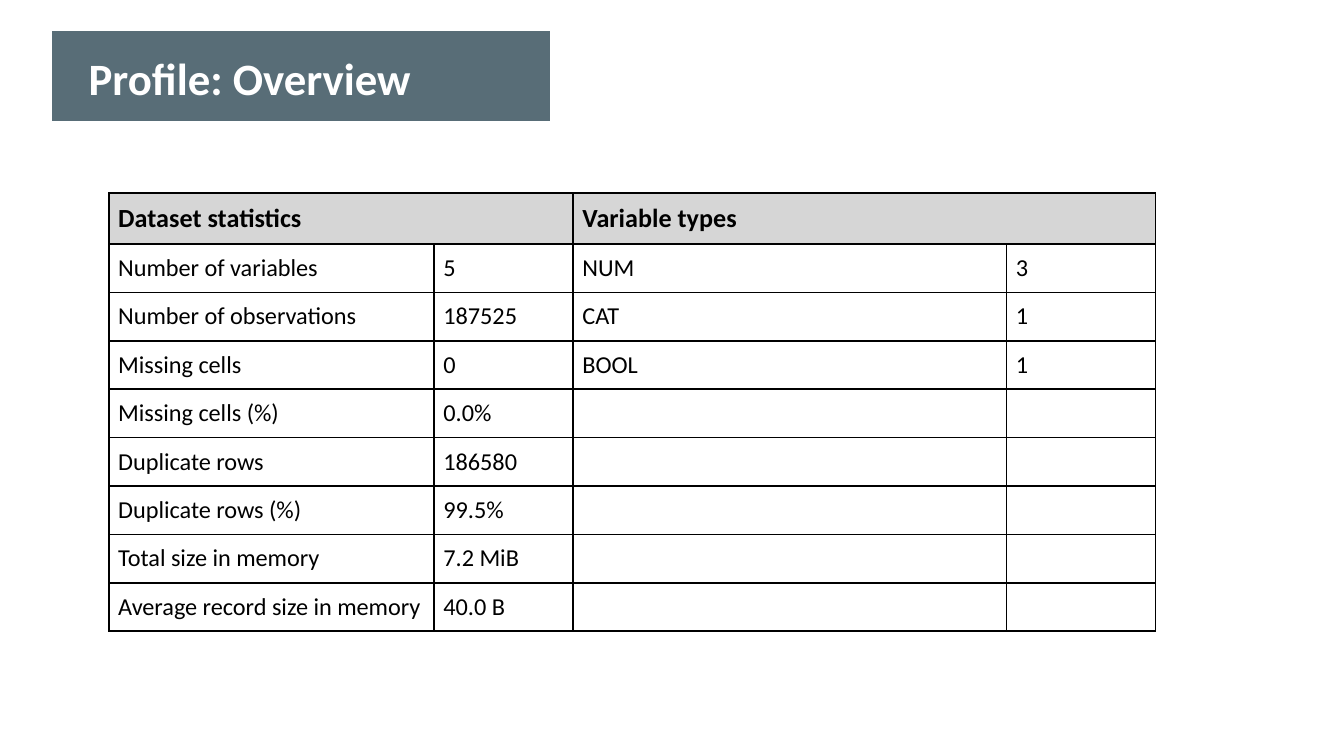
from lxml import etree
from pptx import Presentation
from pptx import util as u
from pptx.dml.color import RGBColor
from pptx.enum import shapes, text
from pptx.oxml import ns

SLATE = RGBColor(0x58, 0x6D, 0x77)
WHITE = RGBColor(0xFF, 0xFF, 0xFF)
BLACK = RGBColor(0x00, 0x00, 0x00)
GREY = RGBColor(0xD6, 0xD6, 0xD6)

WIDTH = u.Inches(10)
HEIGHT = WIDTH * 9 // 16
FONT = "Calibri"
COLUMNS = [0.242, 0.1035, 0.3225, 0.111]
HEADER_HEIGHT, ROW_HEIGHT = 0.38, 0.34
HEADINGS = ["Dataset statistics", "Variable types"]
STATISTICS = [
    ("Number of variables", "5"),
    ("Number of observations", "187525"),
    ("Missing cells", "0"),
    ("Missing cells (%)", "0.0%"),
    ("Duplicate rows", "186580"),
    ("Duplicate rows (%)", "99.5%"),
    ("Total size in memory", "7.2 MiB"),
    ("Average record size in memory", "40.0 B"),
]
TYPES = [("NUM", "3"), ("CAT", "1"), ("BOOL", "1")]


def share(x, y, w, h):
    """Turn percentages of the slide's size into lengths."""
    sides = (WIDTH, HEIGHT, WIDTH, HEIGHT)
    return [int(side * part / 100) for side, part in zip(sides, (x, y, w, h))]


def apply(target, values):
    """Set each named attribute of the target."""
    for name, value in values.items():
        setattr(target, name, value)


def set_margins(target, inches):
    """Give a text frame or cell the same margin on all sides."""
    sides = ("margin_left", "margin_top", "margin_right", "margin_bottom")
    apply(target, dict.fromkeys(sides, u.Inches(inches)))


def write(p, words, size, color, bold):
    """Put one formatted run in a paragraph."""
    r = p.add_run()
    r.text = words
    apply(r.font, {"name": FONT, "size": u.Pt(size), "bold": bold})
    r.font.color.rgb = color


def add_band(s):
    """Draw the slate band under the title."""
    band = s.shapes.add_shape(shapes.MSO_SHAPE.RECTANGLE, *share(3.7, 3.9, 37.4, 12.4))
    band.shadow.inherit = False
    band.fill.solid()
    band.fill.fore_color.rgb = SLATE
    band.line.color.rgb = WHITE
    band.line.width = u.Pt(2)


def set_title(s, words):
    """Place the title placeholder in front of the band."""
    title = s.shapes.title
    s.shapes._spTree.append(title._element)
    apply(title, dict(zip(("left", "top", "width", "height"), share(5.6, 3.9, 35.5, 12.4))))
    tf = title.text_frame
    set_margins(tf, 0.1)
    apply(tf, {"word_wrap": True, "auto_size": text.MSO_AUTO_SIZE.NONE,
               "vertical_anchor": text.MSO_ANCHOR.TOP})
    p = tf.paragraphs[0]
    apply(p, {"alignment": text.PP_ALIGN.JUSTIFY, "line_spacing": 1.15})
    write(p, words, 24, WHITE, True)


def add_borders(cell):
    """Rule all four sides of a cell in black."""
    tc_pr = cell._tc.get_or_add_tcPr()
    for side in ("a:lnL", "a:lnR", "a:lnT", "a:lnB"):
        line = etree.SubElement(tc_pr, ns.qn(side), w=str(u.Pt(1)))
        fill = etree.SubElement(line, ns.qn("a:solidFill"))
        etree.SubElement(fill, ns.qn("a:srgbClr"), val=str(BLACK))


def format_cell(cell, words, header):
    """Give a cell its borders, fill, margins and text."""
    add_borders(cell)
    if header:
        cell.fill.solid()
        cell.fill.fore_color.rgb = GREY
    else:
        cell.fill.background()
    set_margins(cell, 0.07)
    p = cell.text_frame.paragraphs[0]
    size = 14 if header else 13
    if words:
        write(p, words, size, BLACK, header)
    else:
        etree.SubElement(p._p, ns.qn("a:endParaRPr"), sz=str(size * 100))


def add_profile_table(s):
    """Build the table of statistics beside variable types."""
    types = TYPES + [("", "")] * (len(STATISTICS) - len(TYPES))
    rows = [(HEADINGS[0], "", HEADINGS[1], "")]
    rows += [left + right for left, right in zip(STATISTICS, types)]
    frame = s.shapes.add_table(len(rows), len(COLUMNS), *share(8.1, 25.55, 77.9, 57.2))
    table = frame.table
    apply(table, {"first_row": False, "horz_banding": False})
    for column, part in zip(table.columns, COLUMNS):
        column.width = int(WIDTH * part)
    for i, row in enumerate(rows):
        table.rows[i].height = u.Inches(ROW_HEIGHT if i else HEADER_HEIGHT)
        for j, words in enumerate(row):
            format_cell(table.cell(i, j), words, i == 0)
    for j in (0, 2):
        table.cell(0, j).merge(table.cell(0, j + 1))


def main():
    """Build and save the slide."""
    prs = Presentation()
    apply(prs, {"slide_width": WIDTH, "slide_height": HEIGHT})
    s = prs.slides.add_slide(prs.slide_layouts[5])
    add_band(s)
    set_title(s, "Profile: Overview")
    add_profile_table(s)
    prs.save("out.pptx")


if __name__ == "__main__":
    main()
